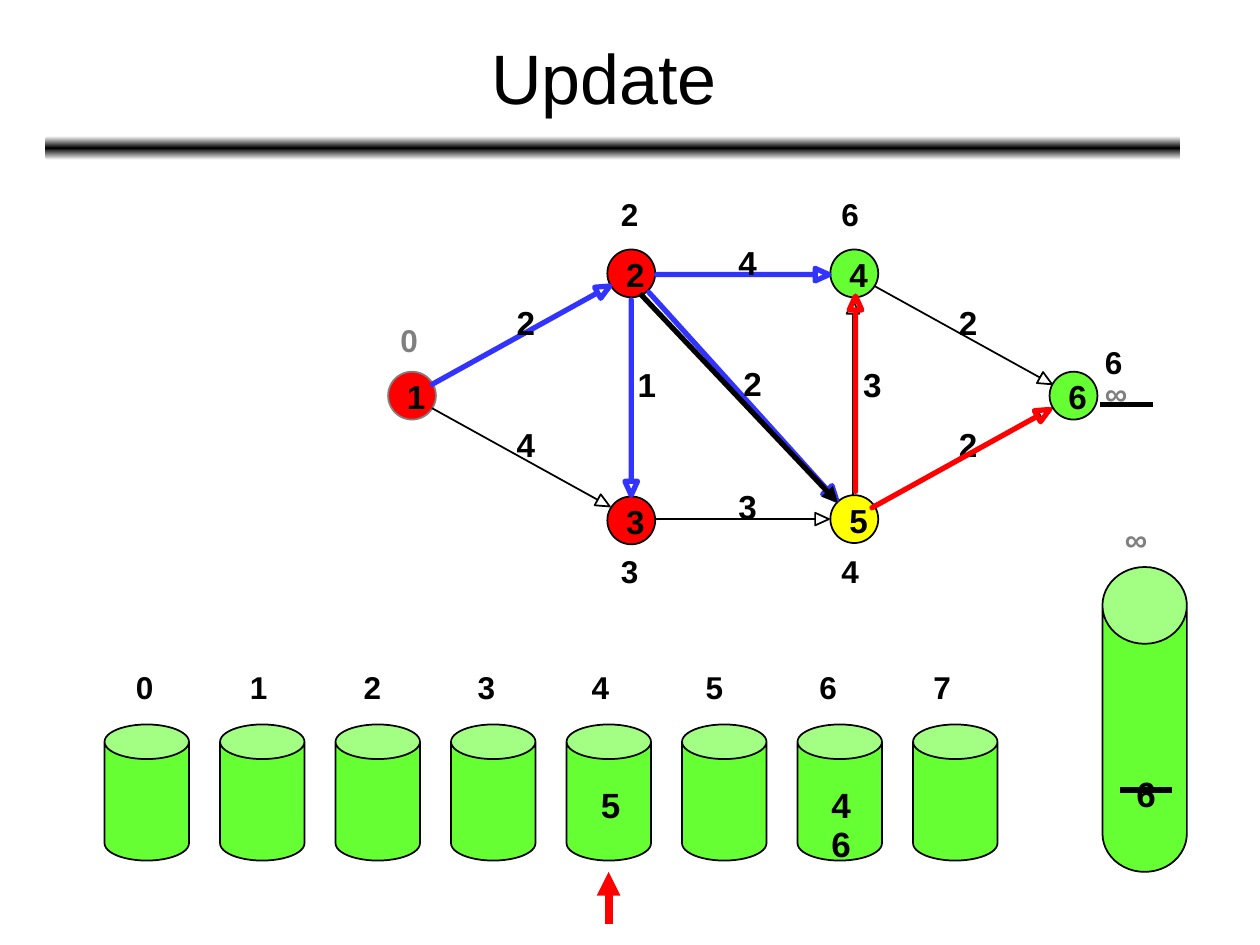
"""Build a slide showing the update step of a bucket-based shortest path search."""
import math
from dataclasses import dataclass

import lxml.etree
import pptx
import pptx.dml.color
import pptx.enum.shapes
import pptx.enum.text
import pptx.oxml.ns
import pptx.util
from pptx.util import Inches

RGBColor = pptx.dml.color.RGBColor
Shape = pptx.enum.shapes.MSO_SHAPE
BLACK = RGBColor(0x00, 0x00, 0x00)
WHITE = RGBColor(0xFF, 0xFF, 0xFF)
GRAY = RGBColor(0x80, 0x80, 0x80)
RED = RGBColor(0xFF, 0x00, 0x00)
GREEN = RGBColor(0x66, 0xFF, 0x33)
YELLOW = RGBColor(0xFF, 0xFF, 0x00)
BLUE = RGBColor(0x33, 0x33, 0xFF)
FONT = "Arial"
NODE_SIZE = 0.38
HEAD_LENGTH, HEAD_HALF_WIDTH = 0.11, 0.05
BUCKET_COUNT, BUCKET_LEFT, BUCKET_PITCH = 8, 0.83, 11 / 12
BUCKET_LABEL_LEFT, BUCKET_LABEL_PITCH = 0.98, 6.33 / 7


@dataclass(frozen=True)
class Node:
    name: str
    left: float
    top: float
    fill: RGBColor
    line: RGBColor = BLACK


@dataclass(frozen=True)
class Edge:
    start: tuple[float, float]
    tip: tuple[float, float]
    color: RGBColor = BLACK
    width: float = 1
    weight: str = ""
    weight_at: tuple[float, float] = (0, 0)


@dataclass(frozen=True)
class Label:
    text: str
    left: float
    top: float
    color: RGBColor = BLACK
    size: float = 18
    width: float = 0.5
    height: float = 0.5


@dataclass(frozen=True)
class Stroke:
    start: tuple[float, float]
    end: tuple[float, float]
    color: RGBColor = BLACK
    width: float = 3
    arrow: bool = False


NODES = [
    Node("1", 3.08, 2.95, RED, GRAY),
    Node("2", 4.82, 1.98, RED),
    Node("4", 6.59, 1.98, GREEN),
    Node("6", 8.33, 2.95, GREEN),
    Node("3", 4.82, 3.94, RED),
    Node("5", 6.59, 3.93, YELLOW),
]
EDGES = [
    Edge((3.43, 3.05), (4.84, 2.27), BLUE, 3, "2", (4.1, 2.4)),
    Edge((5.21, 2.18), (6.58, 2.18), BLUE, 3, "4", (5.86, 1.92)),
    Edge((5.15, 2.32), (6.64, 3.97), BLUE, 3, "2", (5.9, 2.88)),
    Edge((5.01, 2.38), (5.01, 3.93), BLUE, 3, "1", (5.06, 2.89)),
    Edge((5.21, 4.12), (6.58, 4.12), weight="3", weight_at=(5.86, 3.86)),
    Edge((3.43, 3.24), (4.84, 4.02), weight="4", weight_at=(4.1, 3.37)),
    Edge((6.94, 2.27), (8.35, 3.05), weight="2", weight_at=(7.61, 2.4)),
    Edge((6.77, 3.93), (6.77, 2.38), weight="3", weight_at=(6.85, 2.89)),
    Edge((6.94, 4.02), (8.35, 3.24), weight="2", weight_at=(7.61, 3.37)),
    Edge((6.79, 3.9), (6.79, 2.35), RED, 3),
    Edge((6.92, 4.03), (8.33, 3.25), RED, 3),
]
LABELS = [
    Label("0", 3.08, 2.5, GRAY),
    Label("2", 4.83, 1.5),
    Label("3", 4.83, 4.33),
    Label("6", 6.58, 1.5),
    Label("4", 6.58, 4.33),
    Label("∞", 8.67, 2.92, GRAY),
    Label("6", 8.67, 2.67),
    Label("∞", 8.83, 4.08, GRAY),
]
BUCKET_ITEMS = [
    Label(text, left, top, size=20, width=0.33, height=0.43)
    for text, left, top in [
        ("6", 8.92, 6.08), ("4", 6.5, 6.17), ("5", 4.67, 6.17), ("6", 6.5, 6.48),
    ]
]
STROKES = [
    Stroke((9.15, 3.21), (8.73, 3.21)),
    Stroke((4.83, 7.33), (4.83, 6.92), RED, 4.5, True),
    Stroke((9.3, 6.27), (8.89, 6.27)),
    Stroke((5.08, 2.33), (6.65, 3.99), arrow=True),
]


def add_span(frame, text: str, size: float, color: RGBColor, bold: bool = True) -> None:
    """Put one formatted run in the first paragraph of a frame."""
    span = frame.paragraphs[0].add_run()
    span.text = text
    span.font.name = FONT
    span.font.size = pptx.util.Pt(size)
    span.font.bold = bold
    span.font.color.rgb = color


def draw_label(page, label: Label, tight: bool = False) -> None:
    """Draw a text box, without margins and wrapping when tight."""
    box = page.shapes.add_textbox(
        Inches(label.left), Inches(label.top), Inches(label.width), Inches(label.height))
    frame = box.text_frame
    frame.word_wrap = not tight
    if tight:
        frame.margin_left = frame.margin_right = 0
        frame.margin_top = frame.margin_bottom = 0
    add_span(frame, label.text, label.size, label.color)


def draw_tight(page, text: str, left: float, top: float) -> None:
    """Draw a node name or an edge weight."""
    draw_label(page, Label(text, left, top, size=19, width=0.15, height=0.32), tight=True)


def draw_shape(page, kind, left: float, top: float, width: float, height: float,
               fill: RGBColor, line: RGBColor = BLACK):
    """Draw a filled preset shape with a thin outline."""
    shape = page.shapes.add_shape(
        kind, Inches(left), Inches(top), Inches(width), Inches(height))
    shape.shadow.inherit = False
    shape.fill.solid()
    shape.fill.fore_color.rgb = fill
    shape.line.color.rgb = line
    shape.line.width = pptx.util.Pt(1)
    return shape


def draw_node(page, node: Node) -> None:
    """Draw a graph node with its name."""
    draw_shape(page, Shape.OVAL, node.left, node.top, NODE_SIZE, NODE_SIZE,
               node.fill, node.line)
    draw_tight(page, node.name, node.left + 0.15, node.top + 0.04)


def draw_edge(page, edge: Edge) -> None:
    """Draw an edge with a hollow head, and its weight if it has one."""
    (start_x, start_y), (tip_x, tip_y) = edge.start, edge.tip
    length = math.dist(edge.start, edge.tip)
    unit_x, unit_y = (tip_x - start_x) / length, (tip_y - start_y) / length
    base_x, base_y = tip_x - unit_x * HEAD_LENGTH, tip_y - unit_y * HEAD_LENGTH
    side_x, side_y = -unit_y * HEAD_HALF_WIDTH, unit_x * HEAD_HALF_WIDTH
    points = [(base_x, base_y), (base_x + side_x, base_y + side_y), edge.tip,
              (base_x - side_x, base_y - side_y), (base_x, base_y)]
    outline = page.shapes.build_freeform(Inches(start_x), Inches(start_y))
    outline.add_line_segments([(Inches(x), Inches(y)) for x, y in points], close=True)
    arrow = outline.convert_to_shape()
    arrow.shadow.inherit = False
    arrow.fill.background()
    arrow.line.color.rgb = edge.color
    arrow.line.width = pptx.util.Pt(edge.width)
    if edge.weight:
        draw_tight(page, edge.weight, *edge.weight_at)


def draw_stroke(page, stroke: Stroke) -> None:
    """Draw a straight line, with a solid arrowhead if asked for."""
    line = page.shapes.add_connector(
        pptx.enum.shapes.MSO_CONNECTOR.STRAIGHT,
        *(Inches(value) for value in stroke.start + stroke.end))
    line.line.color.rgb = stroke.color
    line.line.width = pptx.util.Pt(stroke.width)
    if stroke.arrow:
        head = lxml.etree.SubElement(
            line.line._get_or_add_ln(), pptx.oxml.ns.qn("a:tailEnd"))
        head.set("type", "triangle")
    lxml.etree.SubElement(line._element.spPr, pptx.oxml.ns.qn("a:effectLst"))


def draw_heading(page) -> None:
    """Format the title and draw the gradient bar below it."""
    bar = draw_shape(page, Shape.ROUNDED_RECTANGLE, 0.36, 1.08, 9.01, 0.19, BLACK)
    bar.line.fill.background()
    bar.fill.gradient()
    bar.fill.gradient_angle = 270
    stops = bar._element.spPr.find(".//" + pptx.oxml.ns.qn("a:gsLst"))
    stops.clear()
    for position, color in [(0, WHITE), (50, BLACK), (100, WHITE)]:
        stop = lxml.etree.SubElement(stops, pptx.oxml.ns.qn("a:gs"), pos=str(position * 1000))
        lxml.etree.SubElement(stop, pptx.oxml.ns.qn("a:srgbClr"), val=str(color))
    title = page.shapes.title
    title.left, title.top = Inches(0.37), Inches(0.11)
    title.width, title.height = Inches(9), Inches(0.99)
    title.text_frame.vertical_anchor = pptx.enum.text.MSO_ANCHOR.MIDDLE
    title.text_frame.paragraphs[0].alignment = pptx.enum.text.PP_ALIGN.CENTER
    add_span(title.text_frame, "Update ", 40, BLACK, bold=False)


def draw_buckets(page) -> None:
    """Draw the numbered buckets and the tall bucket for infinity."""
    for number in range(BUCKET_COUNT):
        bucket = draw_shape(page, Shape.CAN, BUCKET_LEFT + number * BUCKET_PITCH, 5.75,
                            0.67, 1.08, GREEN)
        bucket.adjustments[0] = 0.41
        draw_label(page, Label(
            str(number), BUCKET_LABEL_LEFT + number * BUCKET_LABEL_PITCH, 5.25))
    tall_bucket = draw_shape(page, Shape.CAN, 8.75, 4.5, 0.67, 2.42, GREEN)
    tall_bucket.adjustments[0] = 0.91


def main() -> None:
    """Build and save the deck."""
    deck = pptx.Presentation()
    deck.slide_width, deck.slide_height = Inches(10), Inches(7.5)
    page = deck.slides.add_slide(deck.slide_layouts[5])
    draw_heading(page)
    for node in NODES:
        draw_node(page, node)
    for edge in EDGES:
        draw_edge(page, edge)
    draw_buckets(page)
    for label in LABELS + BUCKET_ITEMS:
        draw_label(page, label)
    for stroke in STROKES:
        draw_stroke(page, stroke)
    deck.save("out.pptx")


if __name__ == "__main__":
    main()
